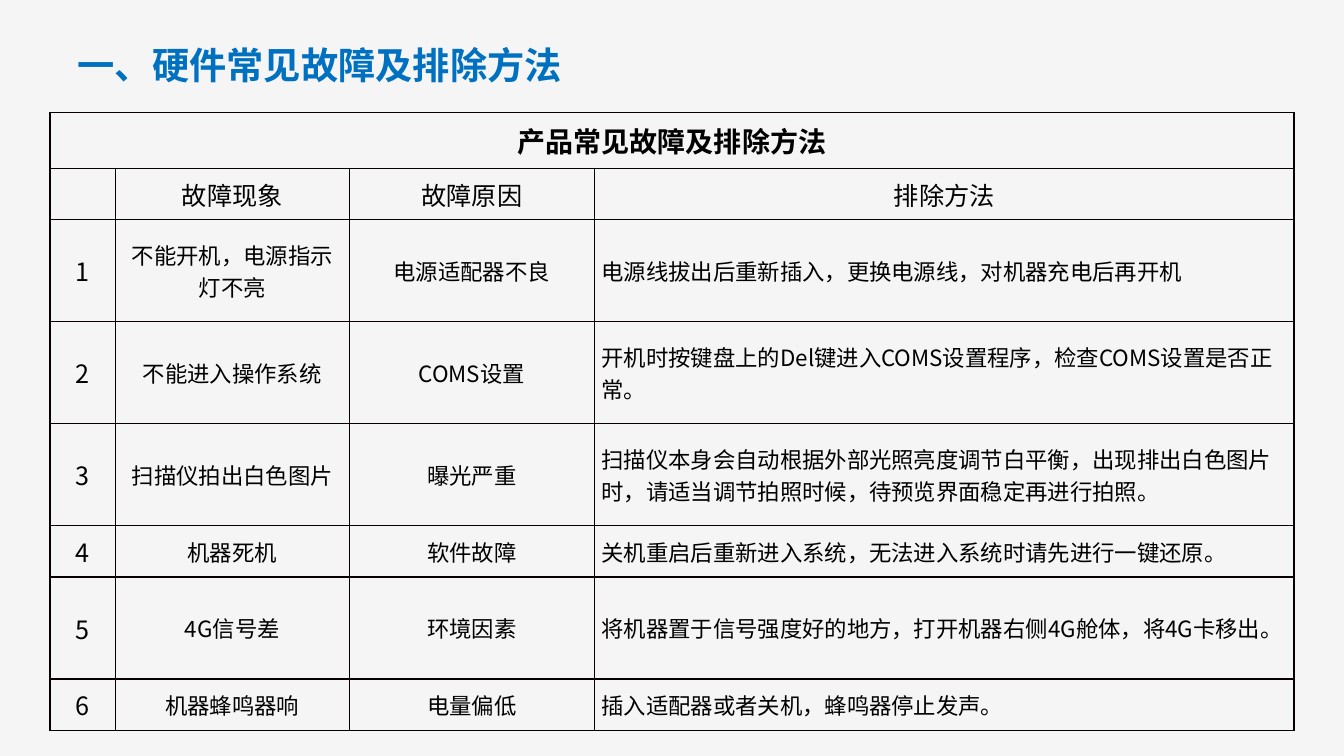
from lxml.etree import SubElement
from pptx import Presentation
from pptx.dml.color import RGBColor
from pptx.enum.text import MSO_ANCHOR as Anchor, MSO_AUTO_SIZE as AutoSize, PP_ALIGN as Align
from pptx.oxml import parse_xml
from pptx.oxml.ns import nsdecls, qn
from pptx.util import Cm, Pt

PAPER = RGBColor(0xF5, 0xF5, 0xF5)
BLUE = RGBColor(0x00, 0x70, 0xC0)
BLACK = RGBColor(0x00, 0x00, 0x00)
RULE = RGBColor(0x08, 0x00, 0x00)
FONT = "Noto Sans CJK SC"

HEADING = "一、硬件常见故障及排除方法"
CAPTION = "产品常见故障及排除方法"
HEADERS = ("", "故障现象", "故障原因", "排除方法")
FAULTS = (
    ("不能开机，电源指示灯不亮", "电源适配器不良",
     "电源线拔出后重新插入，更换电源线，对机器充电后再开机"),
    ("不能进入操作系统", "COMS设置",
     "开机时按键盘上的Del键进入COMS设置程序，检查COMS设置是否正常。"),
    ("扫描仪拍出白色图片", "曝光严重",
     "扫描仪本身会自动根据外部光照亮度调节白平衡，出现排出白色图片时，"
     "请适当调节拍照时候，待预览界面稳定再进行拍照。"),
    ("机器死机", "软件故障",
     "关机重启后重新进入系统，无法进入系统时请先进行一键还原。"),
    ("4G信号差", "环境因素",
     "将机器置于信号强度好的地方，打开机器右侧4G舱体，将4G卡移出。"),
    ("机器蜂鸣器响", "电量偏低", "插入适配器或者关机，蜂鸣器停止发声。"),
)
COLUMN_SHARES = (1.65, 5.89, 6.18, 17.63)
CAPTION_ROW, LOW_ROW, TALL_ROW = 1.41, 1.29, 2.57
ROW_SHARES = (CAPTION_ROW, LOW_ROW, TALL_ROW, TALL_ROW, TALL_ROW,
              LOW_ROW, TALL_ROW, LOW_ROW)


def apply_format(target, values):
    """Set every attribute named in the dict on the target."""
    for attribute, value in values.items():
        setattr(target, attribute, value)


def write_text(frame, text, size, color, bold=False, align=Align.CENTER):
    """Write one formatted paragraph into a text frame."""
    paragraph = frame.paragraphs[0]
    paragraph.alignment = align
    run = paragraph.add_run()
    run.text = text
    run.font.color.rgb = color
    apply_format(run.font, {"size": Pt(size), "bold": bold, "name": FONT})
    SubElement(run.font._element, qn("a:ea"), typeface=FONT)


def rule_cell(cell):
    """Draw a thin line on all four sides of a cell."""
    properties = cell._tc.get_or_add_tcPr()
    for position, side in enumerate("LRTB"):
        properties.insert(position, parse_xml(
            f'<a:ln{side} {nsdecls("a")} w="{Pt(1)}"><a:solidFill>'
            f'<a:srgbClr val="{RULE}"/></a:solidFill></a:ln{side}>'))


def place_heading(slide, left, top, width, height):
    """Move the title placeholder into its box and format it."""
    heading = slide.shapes.title
    apply_format(heading, {"left": left, "top": top, "width": width, "height": height})
    apply_format(heading.text_frame, {
        "word_wrap": False, "auto_size": AutoSize.NONE, "vertical_anchor": Anchor.MIDDLE})
    write_text(heading.text_frame, HEADING, 26.6, BLUE, True, Align.LEFT)


def place_fault_table(slide, left, top, width, height):
    """Fill the given box with the table of faults and remedies."""
    numbered = [(str(number), *fault) for number, fault in enumerate(FAULTS, 1)]
    rows = [(CAPTION, "", "", ""), HEADERS, *numbered]
    table = slide.shapes.add_table(len(rows), len(HEADERS), left, top, width, height).table
    apply_format(table, {"first_row": False, "horz_banding": False})
    for column, share in zip(table.columns, COLUMN_SHARES):
        column.width = int(width * share / sum(COLUMN_SHARES))
    for row, share in zip(table.rows, ROW_SHARES):
        row.height = int(height * share / sum(ROW_SHARES))
    for row_index, texts in enumerate(rows):
        for column_index, text in enumerate(texts):
            cell = table.cell(row_index, column_index)
            is_caption, is_fault = row_index == 0, row_index > 1
            is_remedy = is_fault and column_index == 3
            apply_format(cell, {
                "vertical_anchor": Anchor.MIDDLE, "margin_left": Cm(0.18),
                "margin_right": Cm(0.3 if is_remedy else 0.18),
                "margin_top": 0, "margin_bottom": 0})
            cell.fill.background()
            rule_cell(cell)
            size = 20 if is_caption else 16 if is_fault and column_index else 18
            align = Align.LEFT if is_remedy else Align.CENTER
            if text:
                write_text(cell.text_frame, text, size, BLACK, is_caption, align)
    table.cell(0, 0).merge(table.cell(0, len(HEADERS) - 1))


def build_fault_slide(deck):
    """Add the slide of hardware faults and their remedies."""
    slide = deck.slides.add_slide(deck.slide_layouts[5])
    slide.background.fill.solid()
    slide.background.fill.fore_color.rgb = PAPER
    place_heading(slide, Cm(1.7), Cm(0.92), Cm(13.34), Cm(1.4))
    place_fault_table(slide, Cm(1.26), Cm(2.84), Cm(31.35), Cm(15.56))


def main():
    """Build the deck and save it."""
    deck = Presentation()
    apply_format(deck, {"slide_width": Cm(33.87), "slide_height": Cm(19.05)})
    build_fault_slide(deck)
    deck.save("out.pptx")


if __name__ == "__main__":
    main()
